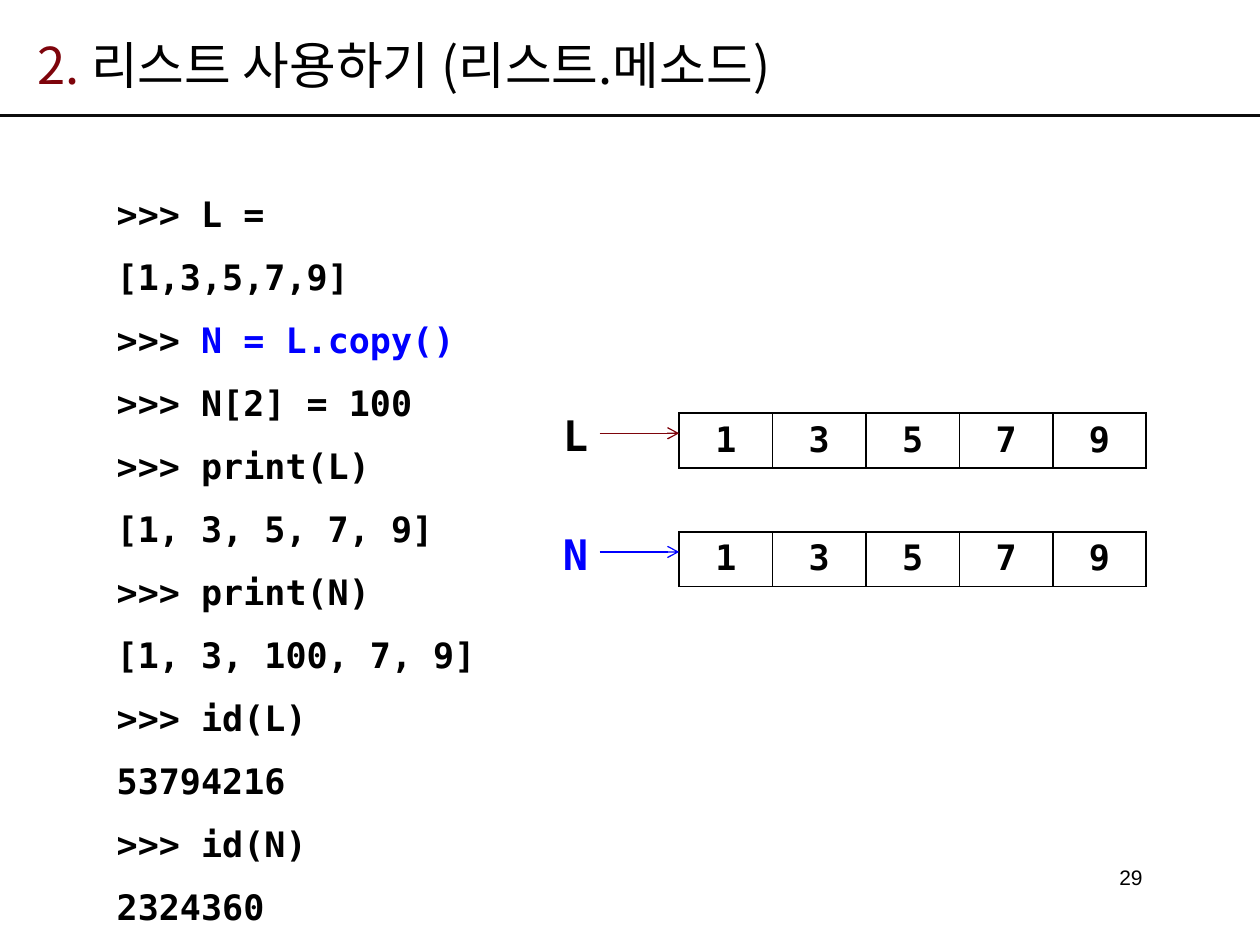
from lxml.etree import SubElement
from pptx import Presentation
from pptx.dml.color import RGBColor
from pptx.enum.shapes import MSO_CONNECTOR as Connector
from pptx.enum.text import MSO_ANCHOR as Anchor, PP_ALIGN as Align
from pptx.oxml.ns import qn
from pptx.util import Pt

COLORS = {"black": "000000", "rule": "0D0D0D", "red": "7E040B", "blue": "0000FF"}
MONO, KOREAN, SANS = "DejaVu Sans Mono", "Noto Sans CJK KR", "Arial"
CODE = [
    [(">>> L = [1,3,5,7,9]", "black")],
    [(">>> ", "black"), ("N = L.copy()", "blue")],
    *[[(line, "black")] for line in (
        ">>> N[2] = 100", ">>> print(L)", "[1, 3, 5, 7, 9]",
        ">>> print(N)", "[1, 3, 100, 7, 9]", ">>> id(L)", "53794216",
        ">>> id(N)", "2324360")],
]
VALUES = [1, 3, 5, 7, 9]


def write(frame, lines, size, font=MONO, bold=True, align=Align.LEFT, spacing=None):
    for index, pieces in enumerate(lines):
        para = frame.add_paragraph() if index else frame.paragraphs[0]
        para.alignment = align
        if spacing:
            para.line_spacing = spacing
        for text, color in pieces:
            span = para.add_run()
            span.text = text
            span.font.size = Pt(size)
            span.font.name = font
            span.font.bold = bold
            span.font.color.rgb = RGBColor.from_string(COLORS[color])
            east = SubElement(span.font._element, qn("a:ea"))
            east.set("typeface", font)


def add_text(page, box, lines, size, anchor=Anchor.TOP, wrap=True, **style):
    frame = page.shapes.add_textbox(*map(Pt, box)).text_frame
    frame.word_wrap = wrap
    frame.vertical_anchor = anchor
    write(frame, lines, size, **style)


def add_line(page, start, end, color, width, arrow=False):
    line = page.shapes.add_connector(Connector.STRAIGHT, *map(Pt, start + end))
    line.line.color.rgb = RGBColor.from_string(COLORS[color])
    line.line.width = Pt(width)
    if arrow:
        SubElement(line.line._get_or_add_ln(), qn("a:tailEnd")).set("type", "arrow")
    SubElement(line._element.spPr, qn("a:effectLst"))


def add_borders(cell, color, width):
    props = cell._tc.get_or_add_tcPr()
    for place, side in enumerate(("lnL", "lnR", "lnT", "lnB")):
        edge = props.makeelement(qn(f"a:{side}"), {"w": str(Pt(width))})
        fill = SubElement(edge, qn("a:solidFill"))
        SubElement(fill, qn("a:srgbClr")).set("val", COLORS[color])
        props.insert(place, edge)


def add_header(page, box):
    left, top, width, height = box
    add_line(page, (left, top + height), (left + width, top + height), "rule", 1.5)
    title = [[("2. ", "red"), ("리스트 사용하기 (리스트.메소드)", "black")]]
    add_text(page, (left + 14.4, top + 15, 607, 44), title, 29,
             anchor=Anchor.MIDDLE, font=KOREAN, bold=False)


def add_list(page, box, name, name_color, arrow_color):
    left, top, width, height = box
    label_width, arrow_width = 28, 45.5
    arrow_left = left + label_width
    table_left = arrow_left + arrow_width
    add_text(page, (left, top, label_width, 36), [[(name, name_color)]], 24,
             wrap=False, align=Align.CENTER)
    table_box = (table_left, top + 5.7, left + width - table_left, height)
    table = page.shapes.add_table(1, len(VALUES), *map(Pt, table_box)).table
    table.first_row = table.horz_banding = False
    for cell, value in zip(table.iter_cells(), VALUES):
        cell.fill.background()
        add_borders(cell, "black", 1)
        write(cell.text_frame, [[(str(value), "black")]], 20, align=Align.CENTER)
    add_line(page, (arrow_left, top + 17.2), (table_left, top + 17.2),
             arrow_color, 0.75, arrow=True)


deck = Presentation()
deck.slide_width, deck.slide_height = Pt(720), Pt(540)
page = deck.slides.add_slide(deck.slide_layouts[6])
add_header(page, (0, 0, 720, 66))
add_text(page, (59.6, 94.3, 225.4, 407), CODE, 20, spacing=1.5)
add_list(page, (314.6, 230.4, 340.4, 31), "L", "black", "red")
add_list(page, (314.6, 298.2, 340.4, 31), "N", "blue", "blue")
add_text(page, (496, 491, 164, 20), [[("29", "black")]], 12,
         anchor=Anchor.MIDDLE, font=SANS, bold=False, align=Align.RIGHT)
deck.save("out.pptx")
